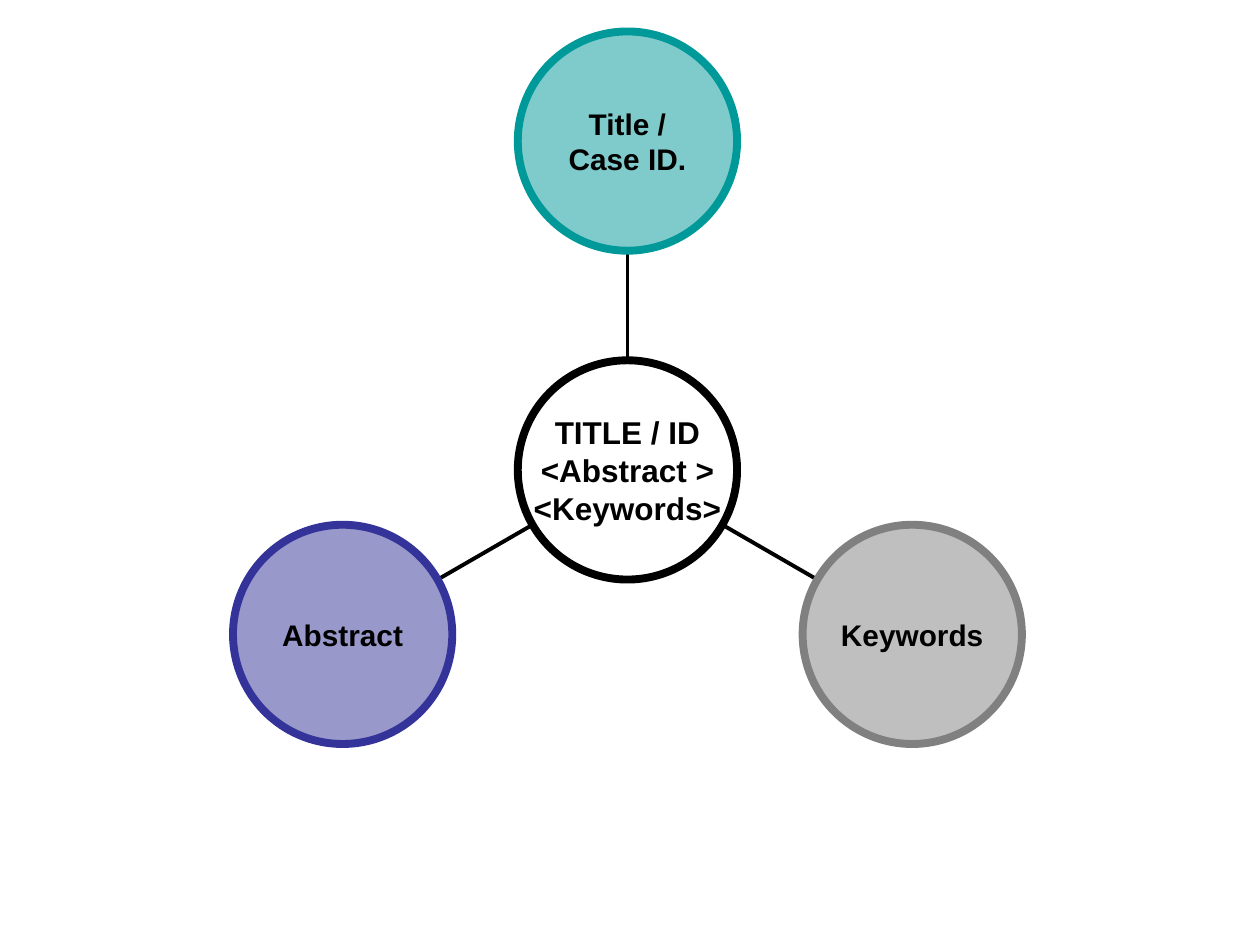
import math
from dataclasses import dataclass

from pptx import Presentation, util as u
from pptx.dml.color import RGBColor
from pptx.enum import shapes, text
from pptx.oxml.ns import qn
from lxml import etree


@dataclass(frozen=True)
class Theme:
    font: str = "Arial"
    ink: str = "000000"
    white: str = "FFFFFF"
    blue: str = "333399"
    gray: str = "808080"
    teal: str = "009999"
    hub_size: int = 18
    node_size: int = 17
    outline: float = 4.5
    spoke: float = 2.25
    opacity: int = 50


def apply(target, values):
    for name, value in values.items():
        setattr(target, name, value)


class Diagram:
    def __init__(self, slide, theme):
        self.theme = theme
        self.group = slide.shapes.add_group_shape()

    def circle(self, center, radius, lines, fill, outline, size):
        x, y = center
        circle = self.group.shapes.add_shape(
            shapes.MSO_SHAPE.OVAL, u.Inches(x - radius), u.Inches(y - radius),
            u.Inches(2 * radius), u.Inches(2 * radius))
        circle.shadow.inherit = False
        circle.fill.solid()
        circle.fill.fore_color.rgb = RGBColor.from_string(fill)
        color = circle.fill._xPr.find(qn("a:solidFill"))[0]
        etree.SubElement(color, qn("a:alpha"), val=str(self.theme.opacity * 1000))
        circle.line.color.rgb = RGBColor.from_string(outline)
        circle.line.width = u.Pt(self.theme.outline)
        frame = circle.text_frame
        apply(frame, dict(margin_left=0, margin_top=0, margin_right=0, margin_bottom=0,
                          word_wrap=False, vertical_anchor=text.MSO_ANCHOR.MIDDLE))
        for index, line in enumerate(lines):
            para = frame.add_paragraph() if index else frame.paragraphs[0]
            para.alignment = text.PP_ALIGN.CENTER
            span = para.add_run()
            span.text = line
            apply(span.font, dict(name=self.theme.font, size=u.Pt(size), bold=True))
            span.font.color.rgb = RGBColor.from_string(self.theme.ink)

    def spoke(self, start, end):
        line = self.group.shapes.add_connector(
            shapes.MSO_CONNECTOR.STRAIGHT, *(u.Inches(value) for value in (*start, *end)))
        line.line.color.rgb = RGBColor.from_string(self.theme.ink)
        line.line.width = u.Pt(self.theme.spoke)
        etree.SubElement(line._element.spPr, qn("a:effectLst"))


def main():
    theme = Theme()
    deck = Presentation()
    deck.slide_width, deck.slide_height = u.Inches(10), u.Inches(7.5)
    diagram = Diagram(deck.slides.add_slide(deck.slide_layouts[6]), theme)

    hub, radius = (4.98, 3.73), 0.87
    orbit = 3 * radius

    def polar(degrees, distance):
        angle = math.radians(degrees)
        return hub[0] + distance * math.cos(angle), hub[1] - distance * math.sin(angle)

    # Outer circles, a third of a turn apart, each joined to the hub
    nodes = [
        (210, ["Abstract"], theme.blue),
        (330, ["Keywords"], theme.gray),
        (90, ["Title /", "Case ID."], theme.teal),
    ]
    for degrees, lines, color in nodes:
        diagram.spoke(polar(degrees, radius), polar(degrees, orbit - radius))
        diagram.circle(polar(degrees, orbit), radius, lines, color, color, theme.node_size)

    # Hub
    diagram.circle(hub, radius, ["TITLE / ID", "<Abstract >", "<Keywords>"],
                   theme.white, theme.ink, theme.hub_size)

    deck.save("out.pptx")


if __name__ == "__main__":
    main()
